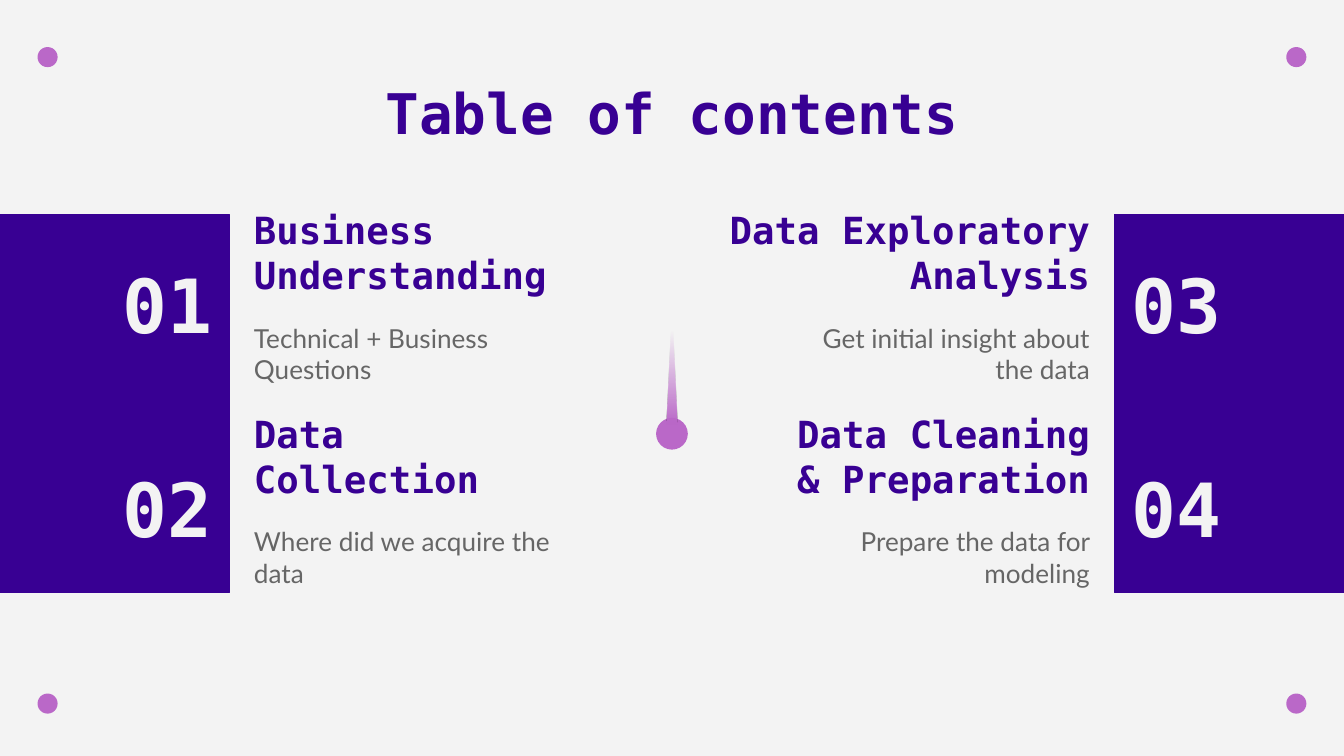
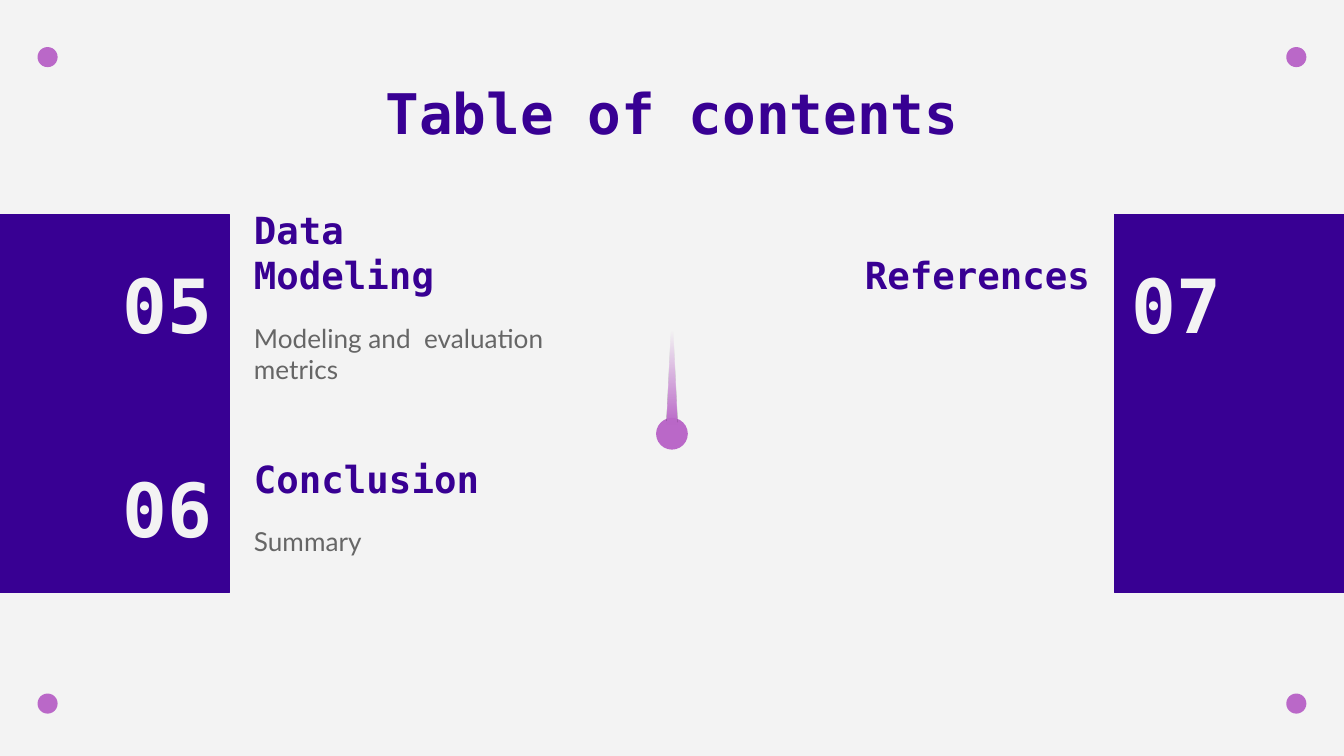
"""Build the two table-of-contents slides."""
import dataclasses

import lxml.etree
import pptx
import pptx.dml.color
import pptx.enum.shapes
import pptx.enum.text
import pptx.oxml.ns
import pptx.util

Cm = pptx.util.Cm
Align = pptx.enum.text.PP_ALIGN
Anchor = pptx.enum.text.MSO_ANCHOR
Shape = pptx.enum.shapes.MSO_SHAPE

PAGE_WIDTH, PAGE_HEIGHT = 25.4, 14.29
ROW_PITCH = 3.85
TITLE_ONLY = 5


@dataclasses.dataclass(frozen=True)
class Style:
    """Describe one kind of text."""

    font: str
    size: int
    color: str
    bold: bool = False


@dataclasses.dataclass(frozen=True)
class Theme:
    """Hold the colours and text styles of the deck."""

    paper: str = "F3F3F3"
    indigo: str = "380093"
    orchid: str = "BA68C8"
    title: Style = Style("DejaVu Sans Mono", 30, "380093", True)
    number: Style = Style("DejaVu Sans Mono", 40, "F3F3F3", True)
    heading: Style = Style("DejaVu Sans Mono", 20, "380093", True)
    summary: Style = Style("Lato", 14, "666666")


@dataclasses.dataclass(frozen=True)
class Entry:
    """Describe one entry of the contents."""

    number: str
    heading: str
    summary: str = ""
    heading_width: float = 6.2


THEME = Theme()

LEFT_AND_RIGHT_ENTRIES = [
    (
        [
            Entry("01", "Business Understanding", "Technical + Business Questions"),
            Entry("02", "Data Collection", "Where did we acquire the data"),
        ],
        [
            Entry("03", "Data Exploratory Analysis",
                  "Get initial insight about the data", 8.03),
            Entry("04", "Data Cleaning & Preparation",
                  "Prepare the data for modeling"),
        ],
    ),
    (
        [
            Entry("05", "Data\nModeling", "Modeling and  evaluation metrics"),
            Entry("06", "Conclusion", "Summary"),
        ],
        [Entry("07", "References", heading_width=8.03)],
    ),
]


def rgb(color):
    """Turn a hex string into a colour."""
    return pptx.dml.color.RGBColor.from_string(color)


def box(left, top, width, height, mirrored=False):
    """Return a place in centimetres, reflected across the page if mirrored."""
    if mirrored:
        left = PAGE_WIDTH - left - width
    return Cm(left), Cm(top), Cm(width), Cm(height)


def add_filled(shapes, kind, place, color):
    """Add a preset shape with a plain fill."""
    shape = shapes.add_shape(kind, *place)
    shape.shadow.inherit = False
    shape.fill.solid()
    shape.fill.fore_color.rgb = rgb(color)
    shape.line.fill.background()
    return shape


def write(shape, text, style, align, anchor, top_inset=0.25):
    """Write styled text into a shape."""
    frame = shape.text_frame
    frame.text = text
    frame.word_wrap = True
    frame.auto_size = pptx.enum.text.MSO_AUTO_SIZE.NONE
    frame.vertical_anchor = anchor
    frame.margin_left = frame.margin_right = frame.margin_bottom = Cm(0.25)
    frame.margin_top = Cm(top_inset)
    for paragraph in frame.paragraphs:
        paragraph.alignment = align
        paragraph.font.name = style.font
        paragraph.font.size = pptx.util.Pt(style.size)
        paragraph.font.bold = style.bold
        paragraph.font.color.rgb = rgb(style.color)


def add_title(slide, text):
    """Place and fill the title placeholder."""
    title = slide.shapes.title
    title.left, title.top, title.width, title.height = box(1.98, 1.5, 21.44, 1.5)
    write(title, text, THEME.title, Align.CENTER, Anchor.BOTTOM)


def add_panel(slide, mirrored):
    """Add the band at one edge of the page."""
    panel = add_filled(slide.shapes, Shape.RECTANGLE,
                       box(0, 4.06, 4.34, 7.14, mirrored), THEME.indigo)
    panel.line.color.rgb = rgb(THEME.indigo)
    panel.line.width = pptx.util.Pt(0.75)


def add_entry(slide, entry, row, mirrored):
    """Add the number, heading and summary of one entry."""
    offset = row * ROW_PITCH
    align = Align.RIGHT if mirrored else Align.LEFT
    number = add_filled(slide.shapes, Shape.RECTANGLE,
                        box(1.98, 5.03 + offset, 2.36, 1.42, mirrored),
                        THEME.indigo)
    write(number, entry.number, THEME.number, Align.CENTER, Anchor.MIDDLE)
    heading = slide.shapes.add_textbox(
        *box(4.55, 4.17 + offset, entry.heading_width, 1.7, mirrored))
    write(heading, entry.heading, THEME.heading, align, Anchor.BOTTOM, 0)
    if entry.summary:
        summary = slide.shapes.add_textbox(
            *box(4.55, 5.84 + offset, 6.2, 1.42, mirrored))
        write(summary, entry.summary, THEME.summary, align, Anchor.TOP)


def add_pointer(slide):
    """Add the central dot with its fading beam."""
    pointer = slide.shapes.add_group_shape()
    add_filled(pointer.shapes, Shape.OVAL, box(12.4, 7.9, 0.6, 0.6), THEME.orchid)
    beam = add_filled(pointer.shapes, Shape.ISOSCELES_TRIANGLE,
                      box(12.6, 5.82, 0.2, 2.21), THEME.orchid)
    beam.fill.gradient()
    beam.fill.gradient_angle = 90
    for stop, position in zip(beam.fill.gradient_stops, (0, 0.8)):
        stop.position = position
        stop.color.rgb = rgb(THEME.orchid)
    qn = pptx.oxml.ns.qn
    faded = list(beam.element.spPr.iter(qn("a:srgbClr")))[-1]
    lxml.etree.SubElement(faded, qn("a:alpha"), val="0")


def decorate_layout(layout, slide):
    """Give the layout its background and corner dots, drawn by way of a slide."""
    layout.background.fill.solid()
    layout.background.fill.fore_color.rgb = rgb(THEME.paper)
    corners = [(top, mirrored) for top in (0.89, 13.11) for mirrored in (False, True)]
    for dot_id, (top, mirrored) in enumerate(corners, start=100):
        dot = add_filled(slide.shapes, Shape.OVAL,
                         box(0.71, top, 0.38, 0.38, mirrored), THEME.orchid)
        dot.element.nvSpPr.cNvPr.id = dot_id
        layout.shapes.element.append(dot.element)


def add_contents_slide(deck, layout, sides):
    """Add one slide of contents, with entries on the left and right."""
    slide = deck.slides.add_slide(layout)
    for mirrored in (True, False):
        add_panel(slide, mirrored)
    add_title(slide, "Table of contents")
    for mirrored, entries in zip((False, True), sides):
        for row, entry in enumerate(entries):
            add_entry(slide, entry, row, mirrored)
    add_pointer(slide)
    return slide


def main():
    """Build and save the deck."""
    deck = pptx.Presentation()
    deck.slide_width, deck.slide_height = Cm(PAGE_WIDTH), Cm(PAGE_HEIGHT)
    layout = deck.slide_layouts[TITLE_ONLY]
    slides = [add_contents_slide(deck, layout, sides)
              for sides in LEFT_AND_RIGHT_ENTRIES]
    decorate_layout(layout, slides[0])
    deck.save("out.pptx")


if __name__ == "__main__":
    main()
